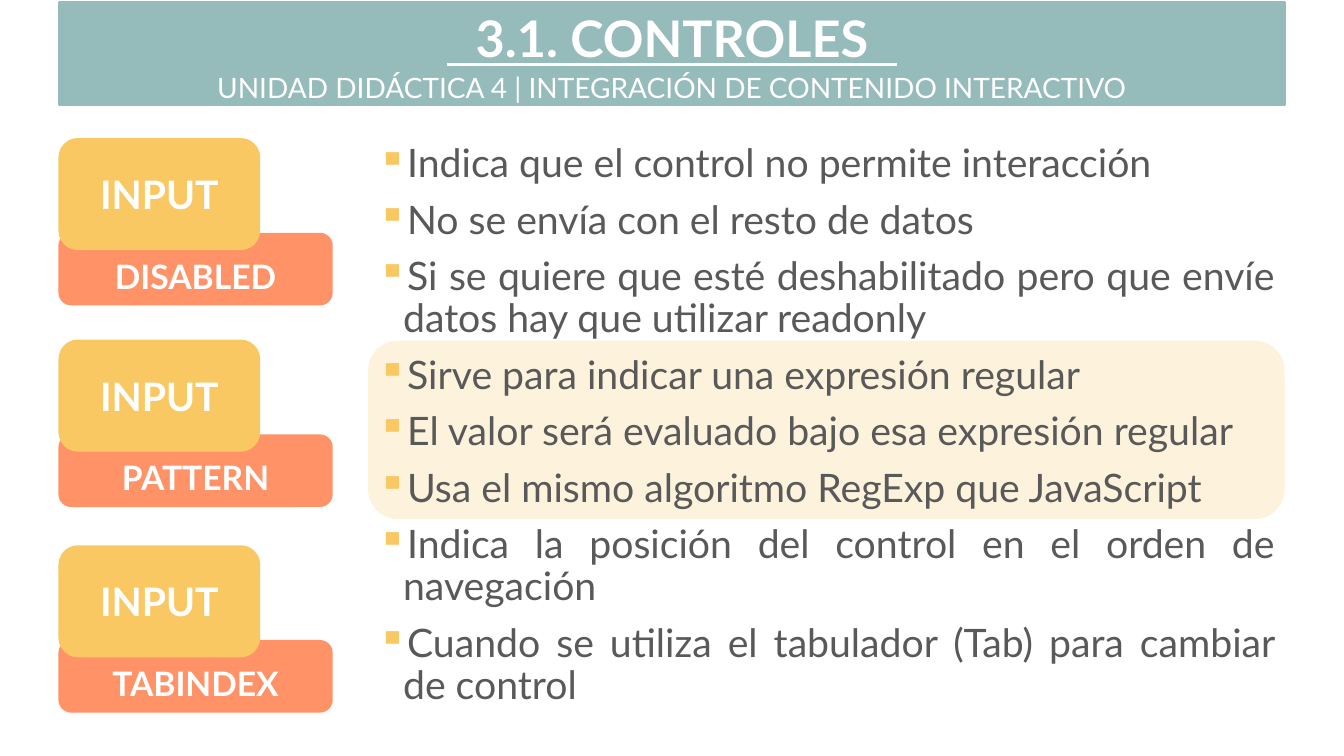
"""Builds the slide on HTML input attributes: disabled, pattern and tabindex."""
from lxml.etree import SubElement
from pptx import Presentation
from pptx.dml.color import RGBColor
from pptx.enum.shapes import MSO_CONNECTOR as Connector, MSO_SHAPE as Shape
from pptx.enum.text import MSO_ANCHOR as Anchor, PP_ALIGN as Align
from pptx.oxml.ns import qn
from pptx.util import Pt

PX = 9144
TEAL, YELLOW, CORAL, WHITE, GREY = "95BBBA", "FAC863", "FF9267", "FFFFFF", "595959"
LEFT, WIDTH = 59, 1215
BODY_LEFT, BODY_WIDTH = 365, 909


def paint(target, color):
    """Fills a shape and outlines it in one colour."""
    target.fill.solid()
    target.fill.fore_color.rgb = RGBColor.from_string(color)
    target.line.color.rgb = RGBColor.from_string(color)
    target.line.width = Pt(1.5)


def write(para, text, size, color, bold=False, align=Align.CENTER):
    """Adds one formatted run to a paragraph."""
    para.alignment = align
    span = para.add_run()
    span.text = text
    span.font.name = "Lato"
    span.font.size = Pt(size)
    span.font.bold = bold
    span.font.color.rgb = RGBColor.from_string(color)


deck = Presentation()
deck.slide_width, deck.slide_height = 1333 * PX, 750 * PX
page = deck.slides.add_slide(deck.slide_layouts[5])

title = page.shapes.title
title.left, title.top, title.width, title.height = LEFT * PX, 2 * PX, WIDTH * PX, 101 * PX
paint(title, TEAL)
title.text_frame.vertical_anchor = Anchor.TOP
write(title.text_frame.paragraphs[0], "3.1. CONTROLES", 36, WHITE, True)

highlight = page.shapes.add_shape(
    Shape.ROUNDED_RECTANGLE, BODY_LEFT * PX, 338 * PX, BODY_WIDTH * PX, 177 * PX)
highlight.shadow.inherit = False
highlight.fill.solid()
highlight.fill.fore_color.rgb = RGBColor.from_string(YELLOW)
highlight.line.fill.background()
yellow_fill = highlight.fill._xPr.find(qn("a:solidFill"))[0]
SubElement(yellow_fill, qn("a:alpha")).set("val", "21000")

blocks = [(Shape.RECTANGLE, LEFT, 69, WIDTH, 35, TEAL, Anchor.MIDDLE,
           "UNIDAD DIDÁCTICA 4 | INTEGRACIÓN DE CONTENIDO INTERACTIVO", 20, False)]
for top, attribute in ((138, "DISABLED"), (338, "PATTERN"), (542, "TABINDEX")):
    blocks += [
        (Shape.ROUNDED_RECTANGLE, LEFT, top + 94, 270, 70, CORAL, Anchor.BOTTOM,
         attribute, 24, True),
        (Shape.ROUNDED_RECTANGLE, LEFT, top, 198, 109, YELLOW, Anchor.MIDDLE,
         "INPUT", 28, True),
    ]
for kind, left, top, width, height, color, anchor, text, size, bold in blocks:
    block = page.shapes.add_shape(kind, left * PX, top * PX, width * PX, height * PX)
    block.shadow.inherit = False
    paint(block, color)
    block.text_frame.vertical_anchor = anchor
    block.text_frame.word_wrap = True
    write(block.text_frame.paragraphs[0], text, size, WHITE, bold)

underline = page.shapes.add_connector(Connector.STRAIGHT, 443 * PX, 64 * PX, 890 * PX, 64 * PX)
underline.line.color.rgb = RGBColor.from_string(WHITE)
underline.line.width = Pt(2.25)
SubElement(underline._element.spPr, qn("a:effectLst"))

body = page.shapes.add_textbox(BODY_LEFT * PX, 138 * PX, BODY_WIDTH * PX, 596 * PX)
body.text_frame.word_wrap = True
points = [
    "Indica que el control no permite interacción",
    "No se envía con el resto de datos",
    "Si se quiere que esté deshabilitado pero que envíe datos hay que utilizar readonly",
    "Sirve para indicar una expresión regular",
    "El valor será evaluado bajo esa expresión regular",
    "Usa el mismo algoritmo RegExp que JavaScript",
    "Indica la posición del control en el orden de navegación",
    "Cuando se utiliza el tabulador (Tab) para cambiar de control",
]
for index, point in enumerate(points):
    para = body.text_frame.add_paragraph() if index else body.text_frame.paragraphs[0]
    para.line_spacing = 0.9
    para.space_before = Pt(10)
    write(para, point, 28, GREY, align=Align.JUSTIFY)
    settings = para._p.get_or_add_pPr()
    settings.set("marL", str(25 * PX))
    settings.set("indent", str(-25 * PX))
    bullet_color = SubElement(settings, qn("a:buClr"))
    SubElement(bullet_color, qn("a:srgbClr")).set("val", YELLOW)
    SubElement(settings, qn("a:buChar")).set("char", "▪")

deck.save("out.pptx")
